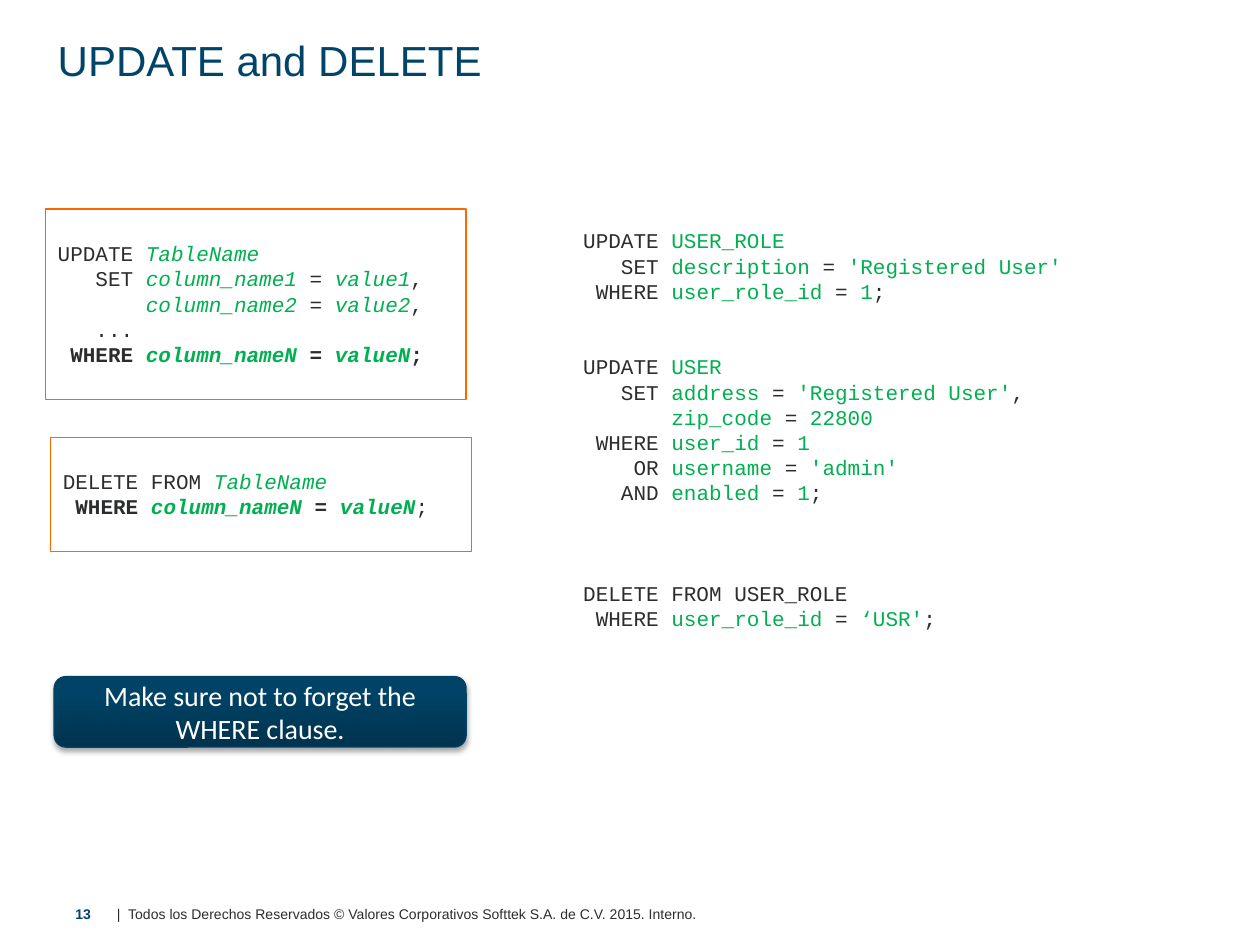
from lxml.etree import SubElement
from pptx import Presentation
from pptx.dml.color import RGBColor
from pptx.enum.shapes import MSO_SHAPE as Shape
from pptx.enum.text import MSO_ANCHOR as Anchor, PP_ALIGN as Align
from pptx.oxml.ns import qn
from pptx.util import Inches, Pt

INK, NAVY, GREEN, ORANGE, WHITE = "2B2D2E", "004569", "00B050", "FF6600", "FFFFFF"
LINE_HEIGHT = 14.4

UPDATE_SYNTAX = [[
    "UPDATE ~TableName~",
    "   SET ~column_name1~ = ~value1~,",
    "       ~column_name2~ = ~value2~,",
    "   ...",
    " *WHERE ~column_nameN~ = ~valueN~;*",
]]
DELETE_SYNTAX = [[
    "DELETE FROM ~TableName~",
    " *WHERE ~column_nameN~ = ~valueN~*;",
]]
EXAMPLES = [
    [
        "UPDATE ~USER_ROLE~",
        "   SET ~description~ = ~'Registered User'~",
        " WHERE ~user_role_id~ = ~1~;",
    ],
    [
        "UPDATE ~USER~",
        "   SET ~address~ = ~'Registered User'~,",
        "       ~zip_code~ = ~22800~",
        " WHERE ~user_id~ = ~1~",
        "    OR ~username~ = ~'admin'~",
        "   AND ~enabled~ = ~1~;",
    ],
    [
        "DELETE FROM USER_ROLE",
        " WHERE ~user_role_id~ = ~‘USR'~;",
    ],
]


def color(value):
    """Turn a hex string into a colour."""
    return RGBColor.from_string(value)


def apply(target, values):
    """Set each attribute named in the dict."""
    for name, value in values.items():
        setattr(target, name, value)


def add_span(para, text, size, font, hex_color, **style):
    """Add one formatted run to a paragraph."""
    span = para.add_run()
    span.text = text
    apply(span.font, {"size": Pt(size), "name": font, **style})
    span.font.color.rgb = color(hex_color)


def add_box(page, place, **frame_format):
    """Add a wrapping text box."""
    box = page.shapes.add_textbox(*map(Inches, place))
    apply(box.text_frame, {"word_wrap": True, **frame_format})
    return box


def add_shape(page, preset, place, line_color, **frame_format):
    """Add an outlined shape without fill or shadow."""
    shape = page.shapes.add_shape(preset, *map(Inches, place))
    shape.shadow.inherit = False
    shape.fill.background()
    shape.line.color.rgb = color(line_color)
    shape.line.width = Pt(0.75)
    apply(shape.text_frame, {"word_wrap": True, **frame_format})
    return shape


def add_label(page, place, text, size, hex_color, para_format=None, bold=False, **frame_format):
    """Add a single line of Arial text."""
    para = add_box(page, place, **frame_format).text_frame.paragraphs[0]
    apply(para, para_format or {})
    add_span(para, text, size, "Arial", hex_color, bold=bold)


def write_code_line(para, line, italic):
    """Write a code line where ~ encloses green names and * bold parts."""
    for bold_index, part in enumerate(line.split("*")):
        for index, text in enumerate(part.split("~")):
            named = index % 2 == 1
            if text:
                add_span(para, text, 12, "Courier New", GREEN if named else INK,
                         bold=bold_index % 2 == 1, italic=named and italic)


def write_code(frame, statements, gaps=(0,), italic=False):
    """Write statements, each preceded by its gap in lines."""
    para = frame.paragraphs[0]
    for statement, gap in zip(statements, gaps):
        for index, line in enumerate(statement):
            if para.runs:
                para = frame.add_paragraph()
            space = gap * LINE_HEIGHT if index == 0 else 0
            apply(para, {"alignment": Align.LEFT, "line_spacing": Pt(LINE_HEIGHT),
                         "space_before": Pt(space)})
            write_code_line(para, line, italic)


def add_syntax(page, place, statements):
    """Add a framed syntax template."""
    shape = add_shape(page, Shape.RECTANGLE, place, ORANGE,
                      vertical_anchor=Anchor.TOP, margin_top=Inches(0.25))
    write_code(shape.text_frame, statements, italic=True)


def add_shadow(shape):
    """Add a soft shadow below a shape."""
    effects = shape._element.spPr.find(qn("a:effectLst"))
    shadow = SubElement(effects, qn("a:outerShdw"), blurRad=str(Pt(3.1)),
                        dist=str(Pt(1.8)), dir="5400000", rotWithShape="0")
    tint = SubElement(shadow, qn("a:srgbClr"), val="000000")
    SubElement(tint, qn("a:alpha"), val="35000")


def add_reminder(page, place, text):
    """Add the rounded gradient reminder."""
    shape = add_shape(page, Shape.ROUNDED_RECTANGLE, place, "004367",
                      vertical_anchor=Anchor.MIDDLE)
    shape.fill.gradient()
    shape.fill.gradient_angle = 90
    stops = [("00334E", 0), ("004366", 0.8)]
    for stop, (hex_color, position) in zip(shape.fill.gradient_stops, stops):
        stop.color.rgb = color(hex_color)
        stop.position = position
    add_shadow(shape)
    para = shape.text_frame.paragraphs[0]
    para.alignment = Align.CENTER
    add_span(para, text, 16, "Calibri", WHITE)


def main():
    """Build the slide and save it."""
    deck = Presentation()
    apply(deck, {"slide_width": Inches(10), "slide_height": Inches(7.5)})
    page = deck.slides.add_slide(deck.slide_layouts[6])

    add_label(page, (0.36, 0.17, 7.87, 0.55), "UPDATE and DELETE", 24, NAVY,
              {"line_spacing": Pt(30)}, vertical_anchor=Anchor.BOTTOM)
    add_syntax(page, (0.36, 1.66, 3.34, 1.51), UPDATE_SYNTAX)
    add_syntax(page, (0.4, 3.47, 3.34, 0.91), DELETE_SYNTAX)
    examples = add_box(page, (4.53, 1.76, 5.12, 3.33))
    write_code(examples.text_frame, EXAMPLES, gaps=(0, 2, 3))
    add_reminder(page, (0.43, 5.37, 3.27, 0.56),
                 "Make sure not to forget the WHERE clause.")
    add_label(page, (0.43, 7.13, 0.39, 0.24), "13", 8, NAVY,
              {"alignment": Align.RIGHT}, bold=True, vertical_anchor=Anchor.MIDDLE)
    add_label(page, (0.83, 7.14, 5.59, 0.16),
              "|  Todos los Derechos Reservados © Valores Corporativos Softtek S.A. "
              "de C.V. 2015. Interno.", 8, INK)
    deck.save("out.pptx")


if __name__ == "__main__":
    main()
